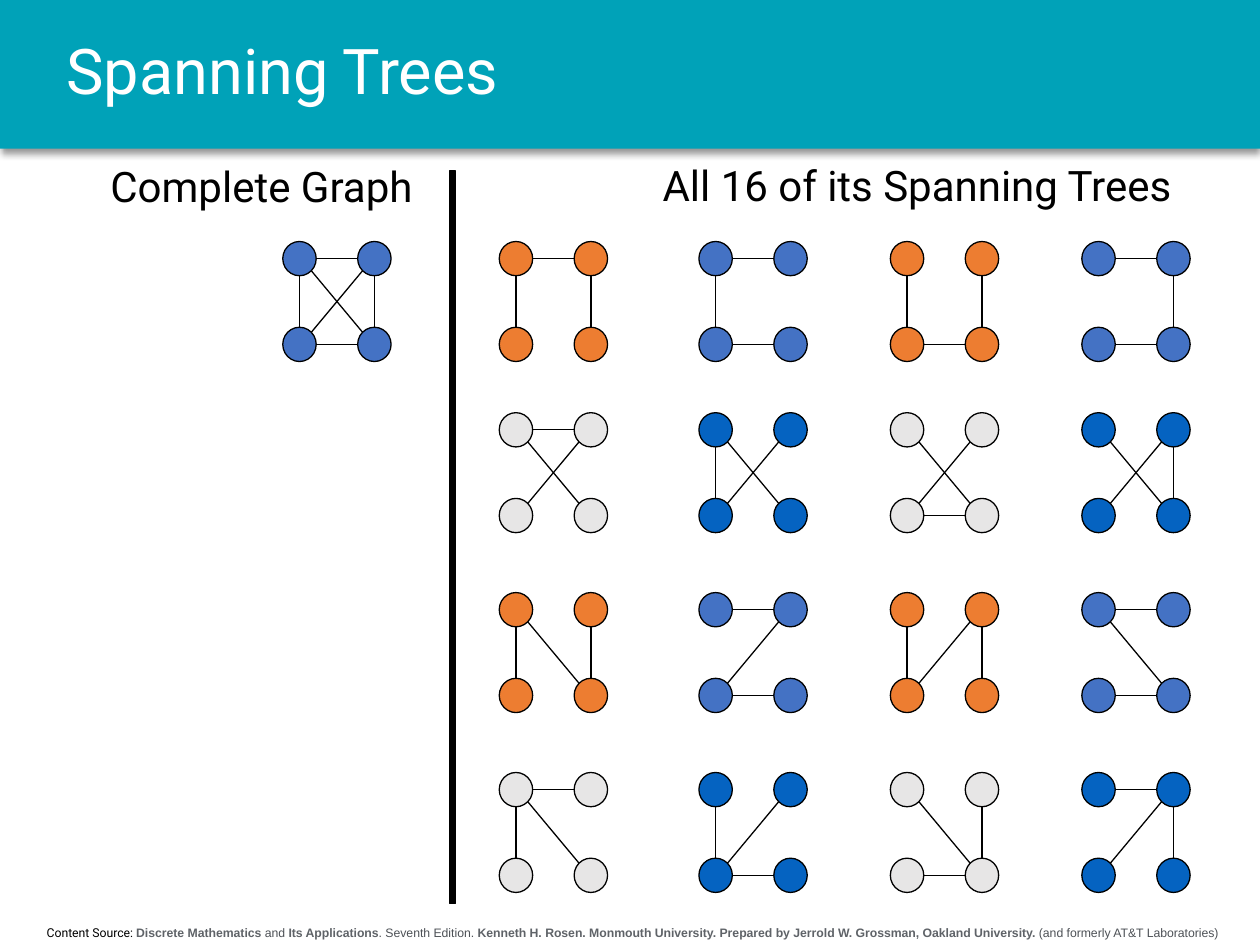
from lxml import etree
from pptx import Presentation
from pptx.dml.color import RGBColor
from pptx.enum.shapes import MSO_CONNECTOR, MSO_SHAPE
from pptx.enum.text import MSO_ANCHOR, PP_ALIGN
from pptx.oxml import parse_xml
from pptx.oxml.ns import qn
from pptx.util import Pt

RECTANGLE = MSO_SHAPE.RECTANGLE
OVAL = MSO_SHAPE.OVAL
STRAIGHT = MSO_CONNECTOR.STRAIGHT
MIDDLE = MSO_ANCHOR.MIDDLE
TOP = MSO_ANCHOR.TOP
LEFT = PP_ALIGN.LEFT
CENTER = PP_ALIGN.CENTER

BLACK = "000000"
WHITE = "FFFFFF"
TEAL = "00A2B8"
ORANGE = "ED7D31"
BLUE = "4472C4"
GRAY = "E7E6E6"
DARK_BLUE = "0563C1"
CITATION_BOLD = "5F6368"
CITATION_PLAIN = "4D5156"

VERTEX_WIDTH, VERTEX_HEIGHT = 19.1, 19.6
VERTEX_STEP_X, VERTEX_STEP_Y = 42.8, 49
VERTEX_GRID = {"A": (0, 0), "B": (1, 0), "C": (0, 1), "D": (1, 1)}
COMPLETE_EDGES = "AB AC CD BD BC AD"
TREE_COLUMNS = [0, 114.1, 223.5, 332.9]
TREE_ROWS = [
    (0, (ORANGE, BLUE), ["AB AC BD", "AB AC CD", "AC CD BD", "AB BD CD"]),
    (97.8, (GRAY, DARK_BLUE), ["AB BC AD", "AC BC AD", "CD BC AD", "BD BC AD"]),
    (200.6, (ORANGE, BLUE), ["AC BD AD", "AB CD BC", "AC BD BC", "AB CD AD"]),
    (303.4, (GRAY, DARK_BLUE), ["AB AC AD", "AC CD BC", "CD BD AD", "AB BD BC"]),
]
CITATION = [
    ("Content Source: ", "Roboto", BLACK, False),
    ("Discrete Mathematics", "Arial", CITATION_BOLD, True),
    (" and ", "Arial", CITATION_PLAIN, False),
    ("Its Applications", "Arial", CITATION_BOLD, True),
    (". Seventh Edition. ", "Arial", CITATION_PLAIN, False),
    ("Kenneth H. Rosen. Monmouth University. Prepared by Jerrold W. Grossman, "
     "Oakland University.", "Arial", CITATION_BOLD, True),
    (" (and formerly AT&T Laboratories)", "Arial", CITATION_PLAIN, False),
]
BANNER_SHADOW = (
    '<a:effectLst xmlns:a="http://schemas.openxmlformats.org/drawingml/2006/main">'
    '<a:outerShdw blurRad="50800" dist="38100" dir="5400000" algn="t" rotWithShape="0">'
    '<a:srgbClr val="000000"><a:alpha val="40000"/></a:srgbClr>'
    '</a:outerShdw></a:effectLst>'
)


def color(hex_string):
    """Return the colour for a hex string."""
    return RGBColor.from_string(hex_string)


def add_filled_shape(shapes, kind, left, top, width, height, fill, outline=None):
    """Add a flat preset shape with an optional thin outline."""
    shape = shapes.add_shape(kind, Pt(left), Pt(top), Pt(width), Pt(height))
    shape.shadow.inherit = False
    shape.fill.solid()
    shape.fill.fore_color.rgb = color(fill)
    if outline:
        shape.line.color.rgb = color(outline)
        shape.line.width = Pt(0.75)
    else:
        shape.line.fill.background()
    return shape


def add_text(slide, left, top, width, height, runs, size, alignment=LEFT, anchor=TOP):
    """Add a one-paragraph text box from (text, font, colour, bold) runs."""
    box = slide.shapes.add_textbox(Pt(left), Pt(top), Pt(width), Pt(height))
    box.text_frame.word_wrap = True
    box.text_frame.vertical_anchor = anchor
    paragraph = box.text_frame.paragraphs[0]
    paragraph.alignment = alignment
    for text, font_name, font_color, bold in runs:
        run = paragraph.add_run()
        run.text = text
        run.font.name = font_name
        run.font.size = Pt(size)
        run.font.bold = bold
        run.font.color.rgb = color(font_color)
    return paragraph


def add_edge(shapes, start, end):
    """Join two vertex centres with a line that stops at the vertex outlines."""
    step_x, step_y = end[0] - start[0], end[1] - start[1]
    reach = 0.5 ** 0.5 if step_x and step_y else 1
    offset_x = reach * VERTEX_WIDTH / 2 * ((step_x > 0) - (step_x < 0))
    offset_y = reach * VERTEX_HEIGHT / 2 * ((step_y > 0) - (step_y < 0))
    connector = shapes.add_connector(
        STRAIGHT,
        Pt(start[0] + offset_x), Pt(start[1] + offset_y),
        Pt(end[0] - offset_x), Pt(end[1] - offset_y),
    )
    connector.line.color.rgb = color(BLACK)
    connector.line.width = Pt(0.75)
    etree.SubElement(connector._element.spPr, qn("a:effectLst"))


def add_graph(slide, left, top, fill, edges):
    """Add a grouped four-vertex graph with edges such as 'AB CD'."""
    shapes = slide.shapes.add_group_shape().shapes
    centers = {}
    for name, (column, row) in VERTEX_GRID.items():
        x, y = left + column * VERTEX_STEP_X, top + row * VERTEX_STEP_Y
        add_filled_shape(shapes, OVAL, x, y, VERTEX_WIDTH, VERTEX_HEIGHT, fill, BLACK)
        centers[name] = (x + VERTEX_WIDTH / 2, y + VERTEX_HEIGHT / 2)
    for start, end in edges.split():
        add_edge(shapes, centers[start], centers[end])


def add_banner(slide, left, top, width, height):
    """Add the shadowed title banner."""
    banner = add_filled_shape(slide.shapes, RECTANGLE, left, top, width, height, TEAL)
    properties = banner._element.spPr
    properties.replace(properties.find(qn("a:effectLst")), parse_xml(BANNER_SHADOW))
    title = [("Spanning Trees", "Roboto", WHITE, False)]
    paragraph = add_text(slide, left + 31, top, width - 50, height, title, 36, anchor=MIDDLE)
    paragraph.line_spacing = 0.9


def add_complete_graph(slide, left, top, width):
    """Add the heading and the complete graph."""
    heading = [("Complete Graph", "Roboto", BLACK, False)]
    add_text(slide, left, top, width, 36, heading, 24)
    add_graph(slide, left + 105.6, top + 49.6, BLUE, COMPLETE_EDGES)


def add_spanning_trees(slide, left, top, width):
    """Add the heading and the grid of spanning trees."""
    heading = [("All 16 of its Spanning Trees", "Roboto", BLACK, False)]
    add_text(slide, left + 86.2, top, width, 36, heading, 24)
    for row_top, fills, trees in TREE_ROWS:
        for index, (column_left, edges) in enumerate(zip(TREE_COLUMNS, trees)):
            add_graph(slide, left + column_left, top + 50.1 + row_top, fills[index % 2], edges)


def main():
    """Build and save the slide."""
    presentation = Presentation()
    presentation.slide_width, presentation.slide_height = Pt(720), Pt(540)
    slide = presentation.slides.add_slide(presentation.slide_layouts[6])
    add_banner(slide, 0, 0, 720, 85)
    add_text(slide, 3, 525, 717, 16, CITATION, 7, CENTER)
    add_complete_graph(slide, 56, 88.4, 220)
    add_spanning_trees(slide, 285.3, 87.9, 342)
    add_filled_shape(slide.shapes, RECTANGLE, 257, 97.7, 3.4, 418.5, BLACK, BLACK)
    presentation.save("out.pptx")


if __name__ == "__main__":
    main()
